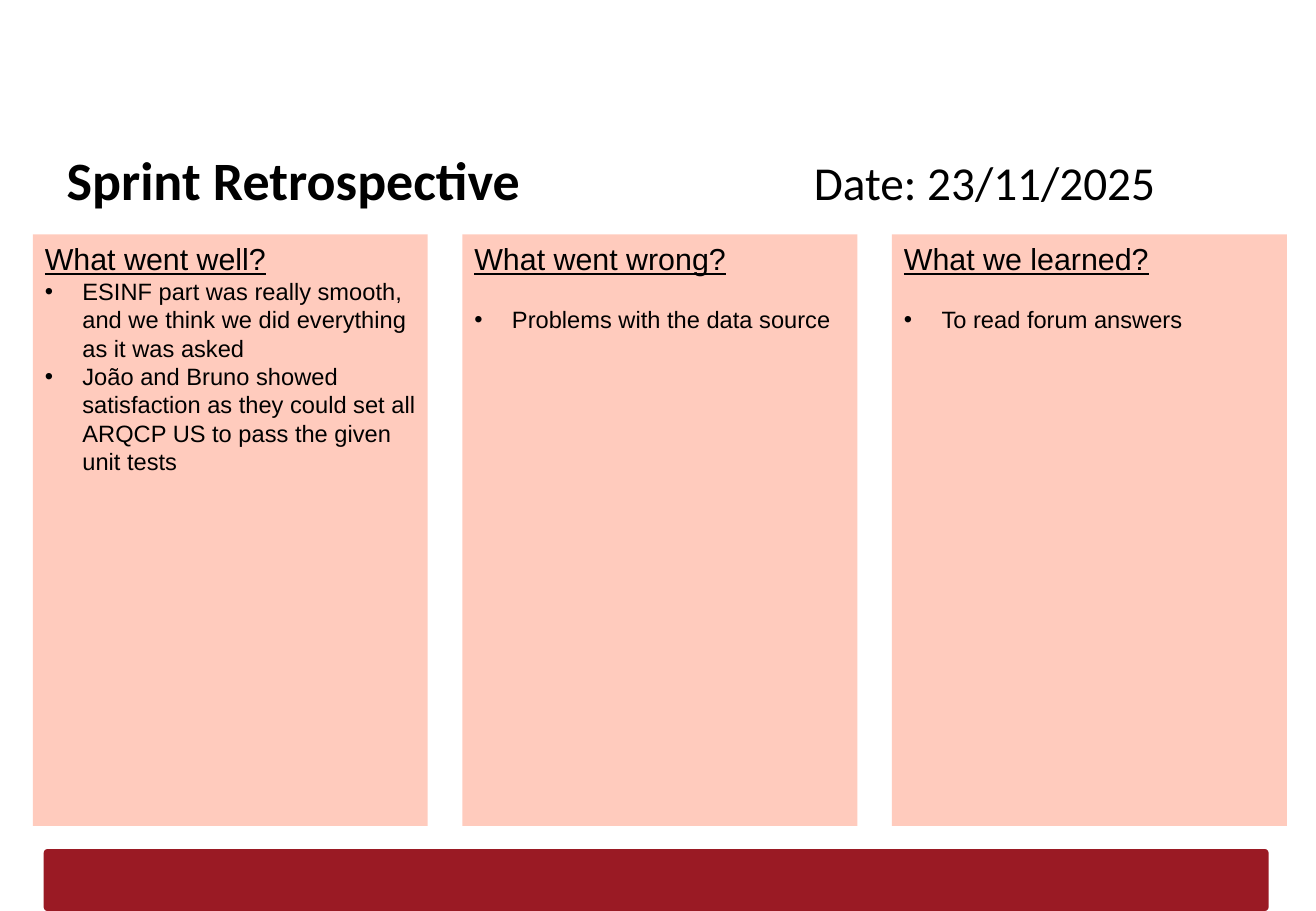
from lxml.etree import SubElement
from pptx import Presentation
from pptx.dml.color import RGBColor
from pptx.enum.shapes import MSO_SHAPE
from pptx.enum.text import MSO_ANCHOR, PP_ALIGN
from pptx.oxml.ns import qn
from pptx.util import Inches, Pt

COLORS = {"panel": "FFCBBD", "footer": "9A1A24", "text": "000000"}
SLIDE_W, SLIDE_H = 10.83, 7.5
PANEL_W, PANEL_PITCH = 3.25, 3.535
ITEM_LINE = 16.8

# Heading, space before the first item in points, items
COLUMNS = [
    ("What went well?", 0, [
        "ESINF part was really smooth, and we think we did everything as it was asked",
        "João and Bruno showed satisfaction as they could set all ARQCP US to pass the given unit tests",
    ]),
    ("What went wrong?", ITEM_LINE, ["Problems with the data source"]),
    ("What we learned?", ITEM_LINE, ["To read forum answers"]),
]


def add_run(paragraph, text, size, font, bold=False, underline=False):
    run = paragraph.add_run()
    run.text = text
    run.font.size = Pt(size)
    run.font.name = font
    run.font.bold = bold
    run.font.underline = underline
    run.font.color.rgb = RGBColor.from_string(COLORS["text"])


def add_block(slide, kind, box, color):
    block = slide.shapes.add_shape(kind, *map(Inches, box))
    block.shadow.inherit = False
    block.fill.solid()
    block.fill.fore_color.rgb = RGBColor.from_string(COLORS[color])
    block.line.fill.background()
    return block


def add_footer(slide, box):
    footer = add_block(slide, MSO_SHAPE.ROUNDED_RECTANGLE, box, "footer")
    footer.adjustments[0] = 0.06


def add_title(slide, box, date_offset):
    frame = slide.shapes.add_textbox(*map(Inches, box)).text_frame
    frame.word_wrap = True
    frame.vertical_anchor = MSO_ANCHOR.TOP
    frame.margin_left = frame.margin_right = Inches(0.1)
    frame.margin_top, frame.margin_bottom = Inches(0.12), 0
    title = frame.paragraphs[0]
    # Tab stop that places the date
    tabs = SubElement(title._p.get_or_add_pPr(), qn("a:tabLst"))
    SubElement(tabs, qn("a:tab"), pos=str(Inches(date_offset)), algn="l")
    add_run(title, "Sprint Retrospective\t", 32, "Calibri", bold=True)
    add_run(title, "Date: 23/11/2025", 28, "Calibri")


def add_panel(slide, box, heading, gap, items):
    frame = add_block(slide, MSO_SHAPE.RECTANGLE, box, "panel").text_frame
    frame.word_wrap = True
    frame.vertical_anchor = MSO_ANCHOR.TOP
    question = frame.paragraphs[0]
    question.alignment = PP_ALIGN.LEFT
    add_run(question, heading, 18, "Arial", underline=True)
    for index, item in enumerate(items):
        answer = frame.add_paragraph()
        answer.alignment = PP_ALIGN.LEFT
        answer.line_spacing = Pt(ITEM_LINE)
        answer.space_before = Pt(0 if index else gap)
        # Hanging bullet
        properties = answer._p.get_or_add_pPr()
        properties.set("marL", str(Inches(0.31)))
        properties.set("indent", str(Inches(-0.31)))
        SubElement(properties, qn("a:buFont"), typeface="Arial")
        SubElement(properties, qn("a:buChar"), char="•")
        add_run(answer, item, 14, "Arial")


def build_retrospective(prs):
    slide = prs.slides.add_slide(prs.slide_layouts[6])
    add_footer(slide, (0.36, 6.99, 10.08, 0.51))
    add_title(slide, (0.45, 1.09, 9.89, 0.63), 6.15)
    for index, column in enumerate(COLUMNS):
        left = 0.27 + index * PANEL_PITCH
        add_panel(slide, (left, 1.93, PANEL_W, 4.87), *column)


def main():
    prs = Presentation()
    prs.slide_width, prs.slide_height = Inches(SLIDE_W), Inches(SLIDE_H)
    build_retrospective(prs)
    prs.save("out.pptx")


if __name__ == "__main__":
    main()
